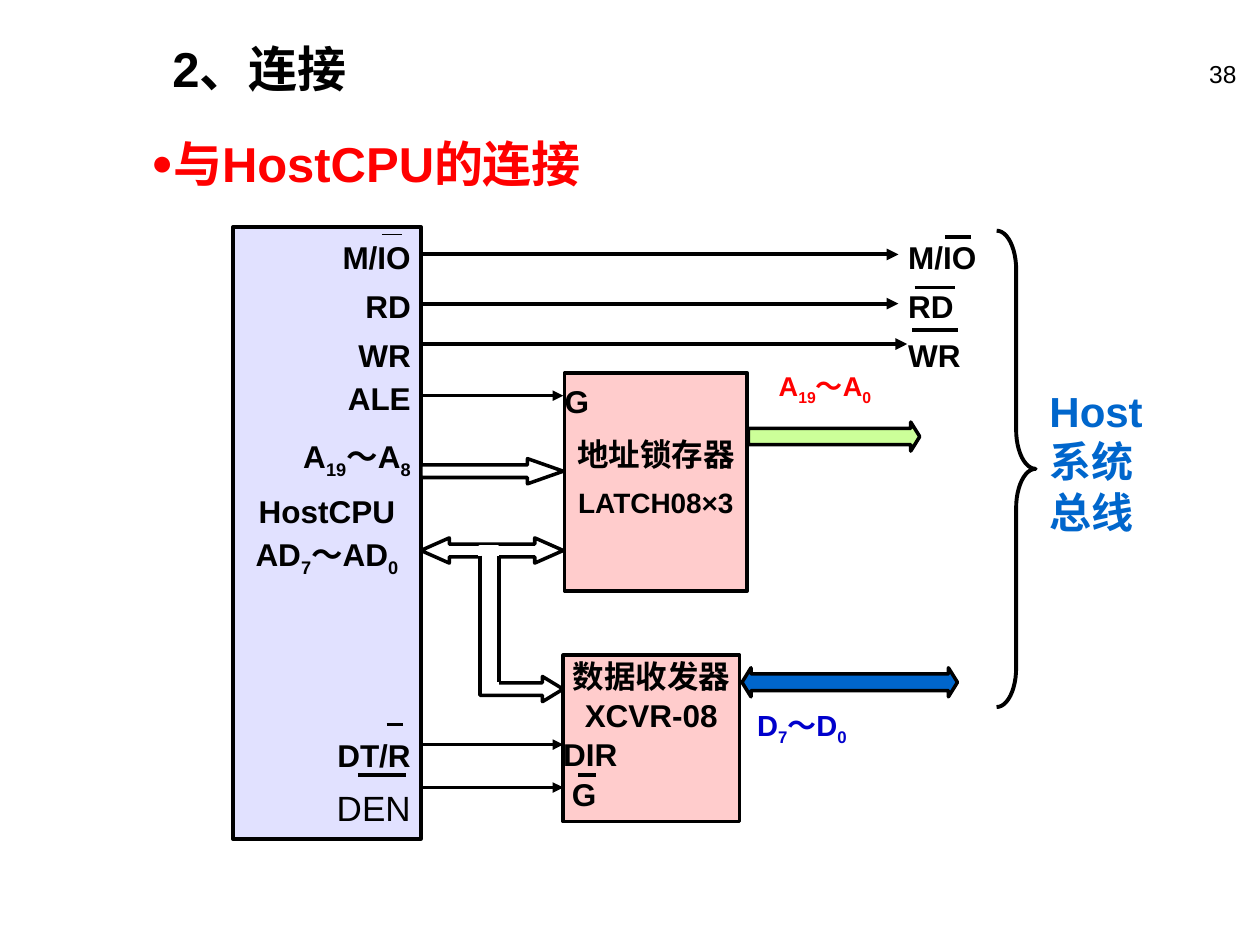
from collections import namedtuple
from lxml.etree import SubElement
from pptx import Presentation
from pptx.dml.color import RGBColor
from pptx.enum.shapes import MSO_CONNECTOR as Connector, MSO_SHAPE as Preset
from pptx.enum.text import MSO_ANCHOR as Anchor, PP_ALIGN as Align
from pptx.oxml.ns import qn
from pptx.util import Pt

BLACK = RGBColor(0x00, 0x00, 0x00)
WHITE = RGBColor(0xFF, 0xFF, 0xFF)
RED = RGBColor(0xFF, 0x00, 0x00)
LAVENDER = RGBColor(0xE1, 0xE1, 0xFF)
PINK = RGBColor(0xFF, 0xCC, 0xCC)
GREEN = RGBColor(0xCC, 0xFF, 0x99)
BLUE = RGBColor(0x00, 0x66, 0xCC)
NAVY = RGBColor(0x00, 0x00, 0xCC)
LEFT, CENTER, RIGHT = Align.LEFT, Align.CENTER, Align.RIGHT

Line = namedtuple("Line", "text align spacing size bold color before after indent",
                  defaults=(LEFT, 1.0, 18, True, BLACK, 0, 0, 0))


class Box(namedtuple("Box", "left top width height")):
    def inner(self, dx, dy, width, height):
        return Box(self.left + dx, self.top + dy, width, height)

    @property
    def points(self):
        return [Pt(value) for value in self]


def write(frame, lines, insets=(0, 0)):
    """Fill a text frame; text between underscores becomes subscript."""
    frame.word_wrap = True
    frame.vertical_anchor = Anchor.TOP
    frame.margin_left = frame.margin_right = Pt(insets[0])
    frame.margin_top = frame.margin_bottom = Pt(insets[1])
    for index, line in enumerate(lines):
        paragraph = frame.add_paragraph() if index else frame.paragraphs[0]
        paragraph.alignment = line.align
        paragraph.line_spacing = line.spacing
        paragraph.space_before, paragraph.space_after = Pt(line.before), Pt(line.after)
        if line.indent:
            paragraph._p.get_or_add_pPr().set("marL", str(Pt(line.indent)))
        for part, text in enumerate(line.text.split("_")):
            if not text:
                continue
            run = paragraph.add_run()
            run.text = text
            font = run.font
            font.name, font.size, font.bold = "Arial", Pt(line.size), line.bold
            font.color.rgb = line.color
            if part % 2:
                font._element.set("baseline", "-25000")


def text_box(slide, box, *lines):
    frame = slide.shapes.add_textbox(*box.points).text_frame
    write(frame, lines, (7.2, 3.6))
    return frame


def solid(slide, preset, box, fill, outline=BLACK, adjust=()):
    shape = slide.shapes.add_shape(preset, *box.points)
    shape.shadow.inherit = False
    shape.fill.solid()
    shape.fill.fore_color.rgb = fill
    shape.line.color.rgb = outline
    shape.line.width = Pt(2)
    for index, value in enumerate(adjust):
        shape.adjustments[index] = value
    return shape


def block(slide, box, fill, *lines, side_inset=0, outline=BLACK):
    shape = solid(slide, Preset.RECTANGLE, box, fill, outline)
    write(shape.text_frame, lines, (side_inset, 0))


def stroke(slide, start, end, width=2, arrow=False):
    line = slide.shapes.add_connector(Connector.STRAIGHT, *map(Pt, (*start, *end)))
    line.line.color.rgb = BLACK
    line.line.width = Pt(width)
    properties = line._element.spPr
    if arrow:
        SubElement(properties.find(qn("a:ln")), qn("a:tailEnd"), type="triangle")
    SubElement(properties, qn("a:effectLst"))


def overbars(slide, box, *bars, width=2):
    """Draw negation bars given as (from x, to x, y) inside the box."""
    for x1, x2, y in bars:
        stroke(slide, (box.left + x1, box.top + y), (box.left + x2, box.top + y), width)


def headings(slide, box):
    text_box(slide, box.inner(12.2, 0, 150, 41), Line("2、连接", size=28))
    topic = text_box(slide, box.inner(0, 54, 320, 41),
                     Line("与HostCPU的连接", size=28, color=RED))
    properties = topic.paragraphs[0]._p.get_or_add_pPr()
    color = SubElement(properties, qn("a:buClr"))
    SubElement(color, qn("a:srgbClr"), val=str(RED))
    SubElement(properties, qn("a:buSzPct"), val="75000")
    SubElement(properties, qn("a:buFont"), typeface="Arial")
    SubElement(properties, qn("a:buChar"), char="●")
    text_box(slide, box.inner(484.6, 11.5, 149.8, 36),
             Line("38", RIGHT, size=14, bold=False))


def cpu(slide, box):
    block(slide, box, LAVENDER,
          Line("M/IO", RIGHT, 1.3), Line("RD", RIGHT, 1.3), Line("WR", RIGHT, 1.3),
          Line("ALE", RIGHT, 1.12),
          Line("A_19_～A_8_", RIGHT, 1.2, before=6.8, after=4.5),
          Line("HostCPU", CENTER, 1.12), Line("AD_7_～AD_0_", CENTER, 1.12),
          Line("DT/R", RIGHT, 1.3, before=83.6),
          Line("DEN", RIGHT, 1.3, size=20, bold=False),
          side_inset=5.76)
    overbars(slide, box, (85, 96.5, 4.3), width=0.75)
    overbars(slide, box, (87.8, 97.2, 284.4), (71.3, 98.6, 313.2))


def cpu_signals(slide, box):
    """Arrows leaving the right edge of the CPU box."""
    edge, gap = box.left + box.width, 81.4
    for dy, length, width in ((15.8, 272.9, 2.25), (43.9, 272.9, 2.25), (67, 277.9, 2.25),
                              (96.5, gap, 2), (295.9, gap, 2), (320.4, gap, 2)):
        y = box.top + dy
        stroke(slide, (edge, y), (edge + length, y), width, arrow=True)
    solid(slide, Preset.RIGHT_ARROW, box.inner(box.width, 132.5, gap, 14.4),
          WHITE, adjust=(0.5, 1.42))
    solid(slide, Preset.LEFT_RIGHT_ARROW, box.inner(box.width, 177.8, gap, 14.4),
          WHITE, adjust=(0.5, 1.13))


def data_branch(slide, box):
    """Branch from the address/data bus down to the transceiver."""
    solid(slide, Preset.RIGHT_ARROW, box.inner(0, 79.2, box.width, 14.4),
          WHITE, adjust=(0.5, 0.82))
    for dy in (5.1, 68.4):
        solid(slide, Preset.RECTANGLE, box.inner(0, dy, 10.1, 16.6), WHITE, WHITE)
    for dx, end in ((10.8, 82.1), (0, 88.6)):
        x = box.left + dx
        stroke(slide, (x, box.top + 10.1), (x, box.top + end))


def latch(slide, box):
    block(slide, box, PINK, Line("G", spacing=1.24), Line("地址锁存器", CENTER, 1.4),
          Line("LATCH08×3", CENTER, 1.4, size=16))
    block(slide, box.inner(122.4, 0, 97.9, 22.3), WHITE,
          Line("A_19_～A_0_", spacing=0.8, size=15.5, color=RED), outline=WHITE)
    solid(slide, Preset.RIGHT_ARROW, box.inner(105.1, 28.1, 97.9, 16.6),
          GREEN, adjust=(0.56, 0.31))


def transceiver(slide, box):
    block(slide, box, PINK, Line("数据收发器", CENTER, 1.04), Line("XCVR-08", CENTER, 1.04),
          Line("DIR", spacing=1.04), Line("G", spacing=1.04, indent=5))
    overbars(slide, box, (8.6, 18.7, 68.4))
    block(slide, box.inner(110.9, 30.2, 77.8, 23), WHITE,
          Line("D_7_～D_0_", spacing=0.9, size=16.6, color=NAVY), outline=WHITE)
    solid(slide, Preset.LEFT_RIGHT_ARROW, box.inner(102.2, 7.2, 123.1, 16.6),
          BLUE, adjust=(0.58, 0.31))


def system_bus(slide, box):
    text_box(slide, box.inner(0, 0, 67, 91.4),
             *(Line(name, spacing=1.3) for name in ("M/IO", "RD", "WR")))
    overbars(slide, box, (28.1, 43.2, 9.4), (10.8, 33.8, 38.2), (9.3, 35.3, 62.6))
    brace = solid(slide, Preset.RIGHT_BRACE, box.inner(57.6, 5.8, 22.3, 272.2),
                  WHITE, adjust=(1, 0.5))
    brace.fill.background()
    brace.line.width = Pt(2.25)
    text_box(slide, box.inner(80.7, 90.7, 69, 93.6),
             Line("Host系统总线", size=24, color=BLUE))


def main():
    deck = Presentation()
    deck.slide_width, deck.slide_height = Pt(720), Pt(540)
    slide = deck.slides.add_slide(deck.slide_layouts[6])
    cpu_box = Box(133.2, 129.6, 107.3, 349.9)
    headings(slide, Box(79.2, 18.7, 634.4, 95))
    cpu(slide, cpu_box)
    transceiver(slide, Box(321.8, 374.4, 100.8, 95))
    cpu_signals(slide, cpu_box)
    data_branch(slide, Box(274.3, 307.4, 47.5, 93.6))
    latch(slide, Box(322.6, 213.1, 104.4, 124.6))
    system_bus(slide, Box(511.9, 126, 149.7, 278))
    deck.save("out.pptx")


if __name__ == "__main__":
    main()
